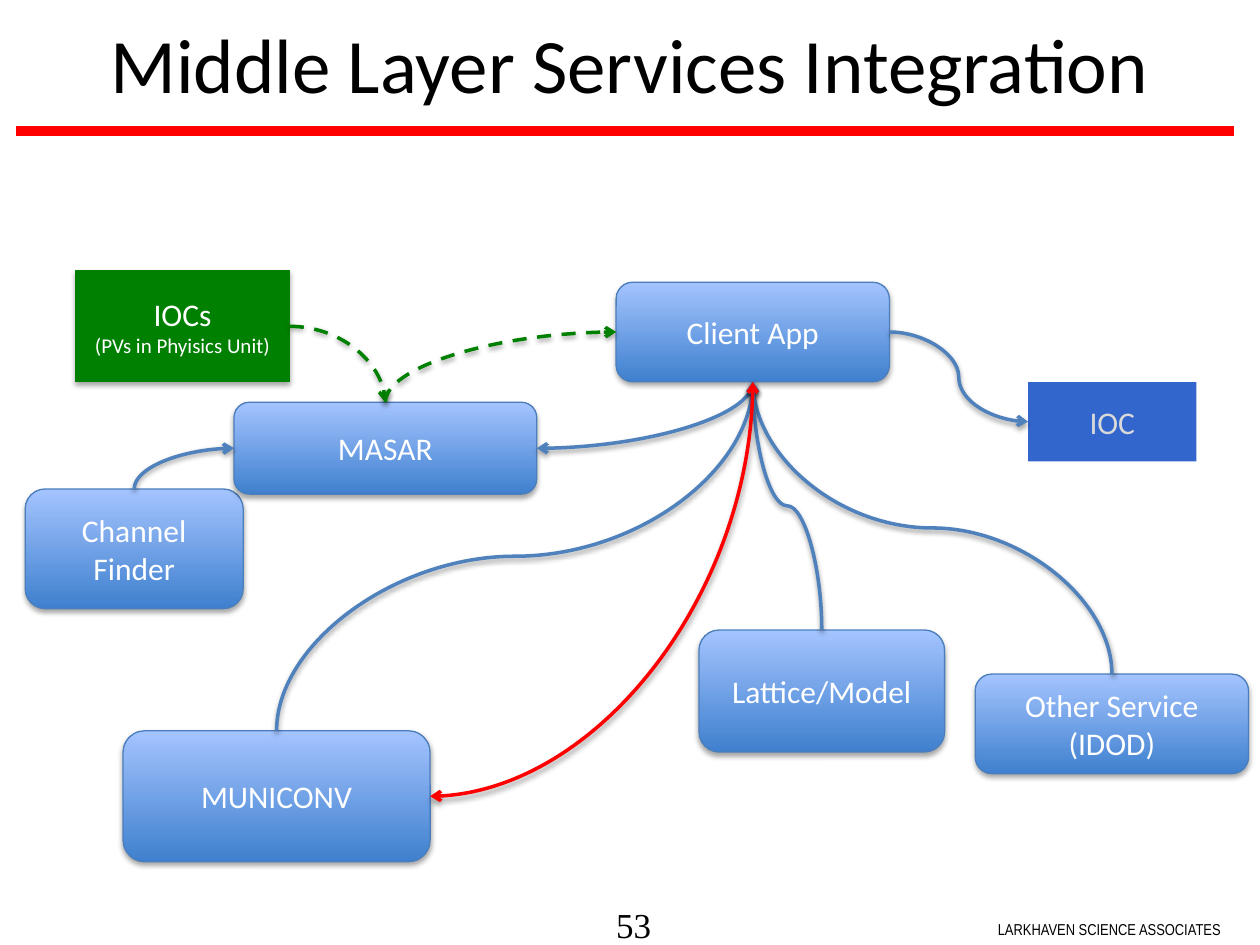
from dataclasses import dataclass
from lxml.etree import SubElement
from pptx import Presentation
from pptx.dml.color import RGBColor
from pptx.enum.dml import MSO_LINE
from pptx.enum.shapes import MSO_CONNECTOR as CONN, MSO_SHAPE as SHAPE
from pptx.enum.text import MSO_ANCHOR as ANCHOR, PP_ALIGN as ALIGN
from pptx.oxml.ns import qn
from pptx.util import Pt

TOP, LEFT, BOTTOM, RIGHT = range(4)


@dataclass(frozen=True)
class Theme:
    black: str = "000000"
    white: str = "FFFFFF"
    muted: str = "D9D9D9"
    red: str = "FF0000"
    green: str = "008000"
    blue: str = "3366CC"
    link: str = "4F81BD"
    outline: str = "4B7EBC"
    grad_low: str = "3F80CE"
    grad_high: str = "A4C4FF"
    font: str = "Calibri"
    number_font: str = "Times New Roman"
    footer_font: str = "Arial Narrow"
    title: int = 44
    number: int = 20
    label: int = 18
    note: int = 12
    footer: int = 9


def rgb(color):
    return RGBColor.from_string(color)


def add_effects(sp, shadow=None):
    """Add an effect list; shadow is (opacity %, distance), None for no shadow."""
    effects = SubElement(sp._element.spPr, qn("a:effectLst"))
    if shadow:
        opacity, dist = shadow
        outer = SubElement(effects, qn("a:outerShdw"), blurRad=str(Pt(3.1)),
                           dist=str(Pt(dist)), dir="5400000", rotWithShape="0")
        color = SubElement(outer, qn("a:srgbClr"), val=Theme.black)
        SubElement(color, qn("a:alpha"), val=str(opacity * 1000))


def side_point(sp, side):
    """Return the middle of one side of a shape."""
    x = {LEFT: sp.left, RIGHT: sp.left + sp.width}.get(side, sp.left + sp.width // 2)
    y = {TOP: sp.top, BOTTOM: sp.top + sp.height}.get(side, sp.top + sp.height // 2)
    return x, y


class Deck:
    def __init__(self, theme):
        self.theme = theme
        self.prs = Presentation()
        self.prs.slide_width, self.prs.slide_height = Pt(720), Pt(540)
        self.slide = self.prs.slides.add_slide(self.prs.slide_layouts[5])

    def run(self, p, text, size, color, font=None, align=None):
        if align is not None:
            p.alignment = align
        r = p.add_run()
        r.text = text
        r.font.name = font or self.theme.font
        r.font.size = Pt(size)
        r.font.color.rgb = rgb(color)

    def title(self, text, left, top, width, height):
        sp = self.slide.shapes.title
        sp.left, sp.top, sp.width, sp.height = map(Pt, (left, top, width, height))
        sp.text_frame.vertical_anchor = ANCHOR.MIDDLE
        self.run(sp.text_frame.paragraphs[0], text, self.theme.title,
                 self.theme.black, align=ALIGN.CENTER)

    def text(self, text, left, top, width, height, size, font, inset=0):
        sp = self.slide.shapes.add_textbox(*map(Pt, (left, top, width, height)))
        tf = sp.text_frame
        tf.margin_left = tf.margin_right = 0
        tf.margin_top = tf.margin_bottom = Pt(inset)
        self.run(tf.paragraphs[0], text, size, self.theme.black, font)

    def box(self, lines, left, top, width, height, fill=None, color=None, raised=True):
        """Add a box with (text, size) lines; without a fill it is a gradient service box."""
        t = self.theme
        sp = self.slide.shapes.add_shape(
            SHAPE.RECTANGLE if fill else SHAPE.ROUNDED_RECTANGLE,
            *map(Pt, (left, top, width, height)))
        if fill:
            sp.fill.solid()
            sp.fill.fore_color.rgb = rgb(fill)
        else:
            sp.fill.gradient()
            sp.fill.gradient_angle = 90
            for stop, shade in zip(sp.fill.gradient_stops, (t.grad_low, t.grad_high)):
                stop.color.rgb = rgb(shade)
        if raised:
            sp.line.color.rgb = rgb(fill or t.outline)
            sp.line.width = Pt(0.75)
        else:
            sp.line.fill.background()
        add_effects(sp, (35, 1.8) if raised else None)
        tf = sp.text_frame
        tf.word_wrap = True
        tf.vertical_anchor = ANCHOR.MIDDLE
        for i, (text, size) in enumerate(lines):
            p = tf.add_paragraph() if i else tf.paragraphs[0]
            self.run(p, text, size, color or t.white, align=ALIGN.CENTER)
        return sp

    def rule(self, x1, x2, y, color, width):
        c = self.slide.shapes.add_connector(CONN.STRAIGHT, *map(Pt, (x1, y, x2, y)))
        c.line.color.rgb = rgb(color)
        c.line.width = Pt(width)
        add_effects(c)

    def curve(self, start, start_side, end, end_side, color, dashed=False, both=False):
        """Join two box sides with a curved arrow that leaves each side at a right angle."""
        (x1, y1), (x2, y2) = side_point(start, start_side), side_point(end, end_side)
        c = self.slide.shapes.add_connector(CONN.CURVE, x1, y1, x2, y2)
        c.begin_connect(start, start_side)
        c.end_connect(end, end_side)
        spPr = c._element.spPr
        upright = start_side in (TOP, BOTTOM)
        if upright != (end_side in (TOP, BOTTOM)):
            spPr.find(qn("a:prstGeom")).set("prst", "curvedConnector2")
        flip_h, flip_v = x2 < x1, y2 < y1
        if upright:
            # The preset leaves sideways, so its frame is turned about the centre.
            w, h = abs(y2 - y1), abs(x2 - x1)
            c.left, c.top = (x1 + x2 - w) // 2, (y1 + y2 - h) // 2
            c.width, c.height = w, h
            turn = 270 if flip_h and flip_v else 90
            flip_h, flip_v = (False, True) if turn == 270 else (flip_v, not flip_h)
            spPr.find(qn("a:xfrm")).set("rot", str(turn * 60000))
        for name, on in (("flipH", flip_h), ("flipV", flip_v)):
            spPr.find(qn("a:xfrm")).set(name, str(int(on)))
        c.line.color.rgb = rgb(color)
        c.line.width = Pt(2)
        if dashed:
            c.line.dash_style = MSO_LINE.DASH
        for tag in ("a:headEnd", "a:tailEnd") if both else ("a:tailEnd",):
            SubElement(spPr.find(qn("a:ln")), qn(tag), type="arrow")
        add_effects(c, (38, 1.6))


def main():
    t = Theme()
    d = Deck(t)
    d.rule(704.9, 9.4, 74.9, t.red, 6)
    d.text("53", 352.1, 516.2, 31, 23.8, t.number, t.number_font)
    d.text("LARKHAVEN SCIENCE ASSOCIATES", 570.2, 522, 138.2, 18,
           t.footer, t.footer_font, inset=3.6)
    d.title("Middle Layer Services Integration", 0, 0, 720, 71.3)

    finder = d.box([("Channel Finder", t.label)], 14.4, 279.4, 124.6, 68.4)
    municonv = d.box([("MUNICONV", t.label)], 70.3, 417.6, 175.5, 74.9)
    masar = d.box([("MASAR", t.label)], 133.7, 229.9, 173, 52.5)
    lattice = d.box([("Lattice/Model", t.label)], 399.4, 360, 140.4, 69.8)
    other = d.box([("Other Service", t.label), ("(IDOD)", t.label)],
                  557.3, 385.2, 156.2, 56.9)
    client = d.box([("Client App", t.label)], 352.1, 161.3, 156.2, 56.9)
    iocs = d.box([("IOCs", t.label), ("(PVs in Phyisics Unit)", t.note)],
                 43, 154.8, 122.6, 63.4, fill=t.green)
    ioc = d.box([("IOC", t.label)], 587.5, 218.4, 96.2, 45.2,
                fill=t.blue, color=t.muted, raised=False)

    d.curve(finder, TOP, masar, LEFT, t.link)
    d.curve(client, BOTTOM, masar, RIGHT, t.link)
    for service in (municonv, other, lattice):
        d.curve(service, TOP, client, BOTTOM, t.link)
    d.curve(client, RIGHT, ioc, LEFT, t.link)
    d.curve(iocs, RIGHT, masar, TOP, t.green, dashed=True)
    d.curve(masar, TOP, client, LEFT, t.green, dashed=True)
    d.curve(municonv, RIGHT, client, BOTTOM, t.red, both=True)

    d.prs.save("out.pptx")


if __name__ == "__main__":
    main()
